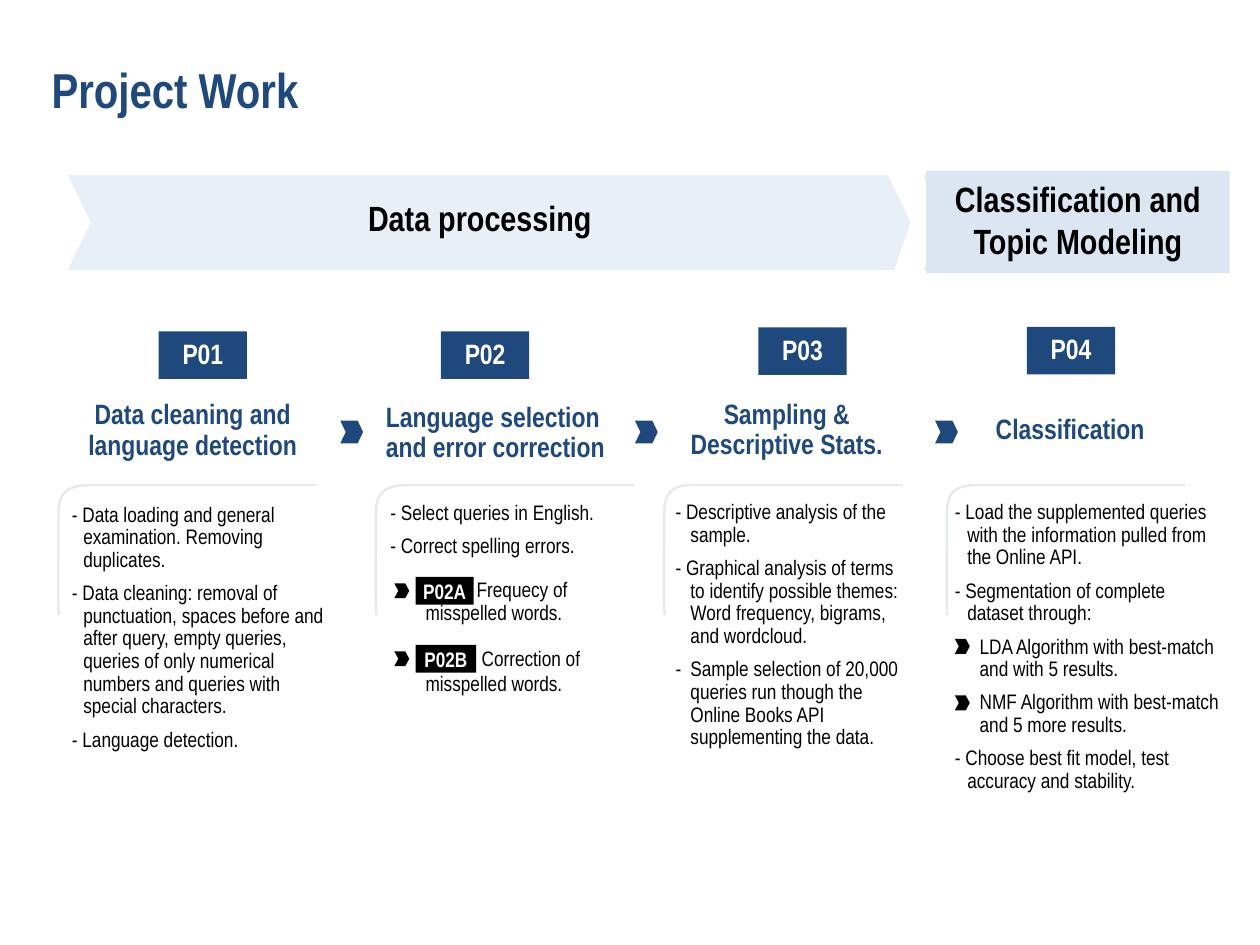
import pptx
import pptx.util
import pptx.dml.color
import pptx.enum.shapes
import pptx.enum.text
import pptx.oxml.ns
from dataclasses import dataclass
from lxml import etree

Cm = pptx.util.Cm
Pt = pptx.util.Pt
ALIGN = pptx.enum.text.PP_ALIGN
ANCHOR = pptx.enum.text.MSO_ANCHOR


@dataclass(frozen=True)
class Theme:
    font: str = "Arial Narrow"
    navy: str = "1F497D"
    black: str = "000000"
    white: str = "FFFFFF"
    frame: str = "E6EAEB"
    phase: str = "B9CDE5"
    shade: str = "C0C0C0"
    panel: str = "DCE6F2"
    title: int = 28
    banner: int = 20
    heading: int = 16
    body: int = 12


theme = Theme()

TITLE = "Project Work"
PHASES = ("Data processing", "Classification and Topic Modeling")

DASH_1 = dict(margin=0.23, indent=-0.23)
DASH_2 = dict(margin=0.53, indent=0)
DASH_3 = dict(margin=0.48, indent=-0.3)
DASH_4 = dict(margin=0.25, indent=-0.25)
NESTED = dict(margin=0.5, indent=0)

STEPS = [
    dict(code="P01", badge=(3.2, 6.68), title="Data cleaning and language detection",
         heading=(1.09, 8.13, 5.59, 1.12), align=ALIGN.CENTER,
         frame=(1.18, 1.8, 6.4), body=(1.4, 10.11, 5.46, 1.8), items=[
             ("- Data loading and general examination. Removing duplicates.", DASH_1),
             ("- Data cleaning: removal of punctuation, spaces before and after query, "
              "empty queries, queries of only numerical numbers and queries with "
              "special characters.", DASH_1),
             ("- Language detection.", DASH_1)]),
    dict(code="P02", badge=(8.89, 6.68), title="Language selection and error correction",
         heading=(7.7, 8.28, 4.8, 0.91), align=ALIGN.LEFT,
         frame=(7.58, 8.2, 12.8), body=(7.29, 10.08, 5.41, 4.06), items=[
             ("- Select queries in English.", DASH_2),
             ("- Correct spelling errors.", dict(DASH_2, after=12)),
             ("Frequecy of misspelled words.", dict(margin=1.24, indent=1.03, after=12)),
             ("Correction of misspelled words.", dict(margin=1.24, indent=1.13, spacing=1.0))]),
    dict(code="P03", badge=(15.29, 6.6), title="Sampling & Descriptive Stats.",
         heading=(13.41, 8.18, 4.9, 0.99), align=ALIGN.CENTER,
         frame=(13.39, 13.94, 18.21), body=(13.39, 10.06, 5, 3.56), items=[
             ("- Descriptive analysis of the sample.", DASH_3),
             ("- Graphical analysis of terms to identify possible themes: "
              "Word frequency, bigrams, and wordcloud.", DASH_3),
             ("-\tSample selection of 20,000 queries run though the Online Books API "
              "supplementing the data.", DASH_3)]),
    dict(code="P04", badge=(20.7, 6.59), title="Classification",
         heading=(19.71, 8.23, 3.73, 0.91), align=ALIGN.CENTER,
         frame=(19.09, 19.66, 23.88), body=(19.2, 10.06, 5.51, 1.96), items=[
             ("- Load the supplemented queries with the information pulled from "
              "the Online API.", DASH_4),
             ("- Segmentation of complete dataset through:", DASH_4),
             ("LDA Algorithm with best-match and with 5 results.", NESTED),
             ("NMF Algorithm with best-match and 5 more results.", NESTED),
             ("- Choose best fit model, test accuracy and stability.", DASH_4)]),
]

SUBSTEPS = [("P02A", (8.38, 11.63, 1.17, 0.56)), ("P02B", (8.38, 13, 1.22, 0.56))]
STEP_ARROWS = [6.86, 12.8, 18.85]
BULLET_ARROWS = [(7.95, 11.76), (7.95, 13.13), (19.25, 12.88), (19.25, 14.02)]
FRAME_TOP, FRAME_BOTTOM = 9.78, 12.4

deck = pptx.Presentation()
deck.slide_width, deck.slide_height = Cm(25.4), Cm(19.05)
page = deck.slides.add_slide(deck.slide_layouts[6])


def rgb(value):
    return pptx.dml.color.RGBColor.from_string(value)


def paint(shape, color, alpha=None):
    shape.shadow.inherit = False
    shape.line.fill.background()
    shape.fill.solid()
    shape.fill.fore_color.rgb = rgb(color)
    if alpha:
        node = shape.fill._xPr.find(".//" + pptx.oxml.ns.qn("a:srgbClr"))
        etree.SubElement(node, pptx.oxml.ns.qn("a:alpha"), val=str(alpha * 1000))


def write(shape, items, size, color, bold=False, align=ALIGN.LEFT,
          anchor=ANCHOR.TOP, inset=(0.25, 0.13), spacing=None):
    frame = shape.text_frame
    frame.word_wrap = True
    frame.vertical_anchor = anchor
    frame.margin_left = frame.margin_right = Cm(inset[0])
    frame.margin_top = frame.margin_bottom = Cm(inset[1])
    for index, (text, style) in enumerate(items):
        para = frame.add_paragraph() if index else frame.paragraphs[0]
        para.text = text
        para.alignment = align
        para.line_spacing = style.get("spacing", spacing)
        if style:
            para.space_after = Pt(style.get("after", 6))
            props = para._p.get_or_add_pPr()
            props.set("marL", str(int(Cm(style["margin"]))))
            props.set("indent", str(int(Cm(style["indent"]))))
        para.font.name, para.font.size = theme.font, Pt(size)
        para.font.bold, para.font.color.rgb = bold, rgb(color)
    return frame


def text_box(area, items, *args, **options):
    return write(page.shapes.add_textbox(*map(Cm, area)), items, *args, **options)


def block(area, color, text, size, text_color, **options):
    box = page.shapes.add_shape(pptx.enum.shapes.MSO_SHAPE.RECTANGLE, *map(Cm, area))
    paint(box, color)
    write(box, [(text, {})], size, text_color, bold=True, align=ALIGN.CENTER, **options)


def outline(points, closed):
    points = [(Cm(x), Cm(y)) for x, y in points]
    builder = page.shapes.build_freeform(*points[0])
    builder.add_line_segments(points[1:], close=closed)
    return builder.convert_to_shape()


def chevron(left, top, width, height, tip, color, alpha=None, notch=None, lower_tip=None):
    right, middle, bottom = left + width, top + height / 2, top + height
    paint(outline([(left, top), (right - tip, top), (right, middle),
                   (right - (lower_tip or tip), bottom), (left, bottom),
                   (left + (notch or tip), middle)], True), color, alpha)


def bezier(points, steps=12):
    for step in range(1, steps + 1):
        t = step / steps
        weights = ((1 - t) ** 3, 3 * t * (1 - t) ** 2, 3 * t * t * (1 - t), t ** 3)
        yield tuple(sum(w * p[axis] for w, p in zip(weights, points)) for axis in (0, 1))


def stroke(shape):
    shape.line.color.rgb, shape.line.width = rgb(theme.frame), Pt(1.42)


def corner_frame(left, corner, right):
    foot, bend, top = (left + 0.01, FRAME_BOTTOM), (left, 10.39), (corner, FRAME_TOP)
    side = bezier([foot, (left - 0.02, 12.27), (left, 11), bend])
    arc = bezier([bend, (left, 10.11), (left + 0.02, FRAME_TOP), top])
    curve = outline([foot, *side, *arc], False)
    curve.shadow.inherit = False
    curve.fill.background()
    stroke(curve)
    line = page.shapes.add_connector(pptx.enum.shapes.MSO_CONNECTOR.STRAIGHT,
                                     Cm(corner), Cm(FRAME_TOP), Cm(right), Cm(FRAME_TOP))
    stroke(line)
    etree.SubElement(line._element.spPr, pptx.oxml.ns.qn("a:effectLst"))


title = text_box((0.79, 1.07, 5.54, 1.45), [(TITLE, {})], theme.title, theme.navy, bold=True)
title.word_wrap = False

chevron(1.37, 3.53, 16.99, 1.91, 0.46, theme.phase, 30, lower_tip=0.33)
chevron(18.62, 3.53, 6.12, 1.91, 0.38, theme.shade, 30)
text_box((5.08, 3.84, 9.19, 1.27), [(PHASES[0], {})], theme.banner, theme.black,
         bold=True, align=ALIGN.CENTER)
block((18.67, 3.45, 6.12, 2.06), theme.panel, PHASES[1], theme.banner, theme.black)

for step in STEPS:
    block((*step["badge"], 1.78, 0.96), theme.navy, step["code"], theme.heading, theme.white,
          anchor=ANCHOR.MIDDLE, inset=(0.08, 0.08), spacing=0.9)
    text_box(step["heading"], [(step["title"], {})], theme.heading, theme.navy, bold=True,
             align=step["align"], anchor=ANCHOR.MIDDLE, inset=(0.08, 0.08), spacing=0.9)
    corner_frame(*step["frame"])
    text_box(step["body"], step["items"], theme.body, theme.black,
             inset=(0.05, 0.05), spacing=0.9)

for code, area in SUBSTEPS:
    block(area, theme.black, code, theme.body, theme.white,
          anchor=ANCHOR.MIDDLE, inset=(0, 0))
for left in STEP_ARROWS:
    chevron(left, 8.48, 0.46, 0.46, 0.11, theme.navy)
for left, top in BULLET_ARROWS:
    chevron(left, top, 0.3, 0.3, 0.08, theme.black)

deck.save("out.pptx")
